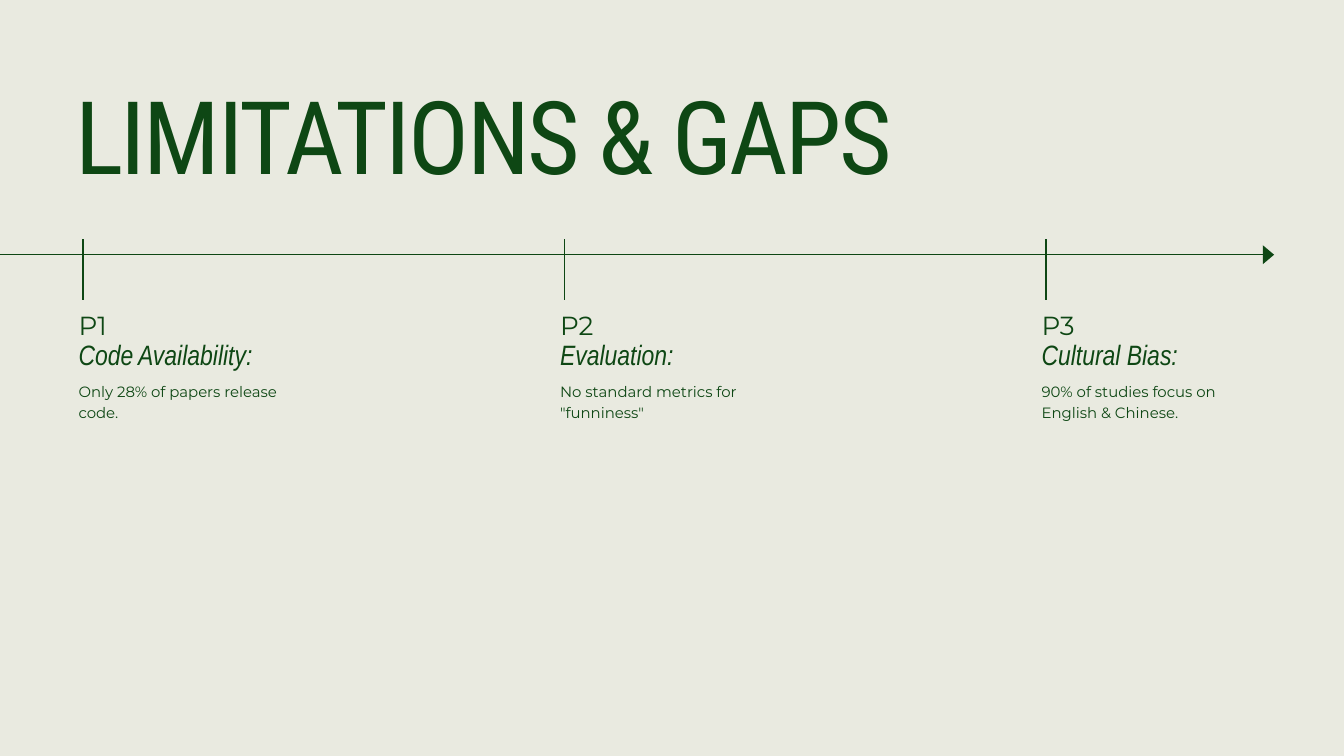
from lxml import etree
from pptx import Presentation
from pptx.dml import color
from pptx.enum import shapes, text
from pptx.oxml import ns
from pptx.util import Cm, Pt

GREEN = "0E4714"
PAPER = "E9EAE0"
PAGE_WIDTH, PAGE_HEIGHT = 50.8, 28.58
LEFT, PITCH = 2.97, 18.2
GAPS = [
    ("P1", "Code Availability:", "Only 28% of papers release code."),
    ("P2", "Evaluation:", 'No standard metrics for "funniness"'),
    ("P3", "Cultural Bias:", "90% of studies focus on English & Chinese."),
]


def rgb(value):
    return color.RGBColor.from_string(value)


def write(box, words, font, size, leading, italic=False):
    """Put one paragraph, flush with the edges, into a text shape."""
    frame = box.text_frame
    frame.word_wrap = True
    frame.auto_size = text.MSO_AUTO_SIZE.NONE
    frame.vertical_anchor = text.MSO_ANCHOR.TOP
    frame.margin_left = frame.margin_top = 0
    frame.margin_right = frame.margin_bottom = 0
    para = frame.paragraphs[0]
    span = para.add_run()
    span.text = words
    para.alignment = text.PP_ALIGN.LEFT
    para.line_spacing = Pt(leading)
    para.space_before = Pt(0)
    para.font.name = font
    para.font.size = Pt(size)
    para.font.italic = italic
    para.font.color.rgb = rgb(GREEN)
    return span


def add_line(page, x1, y1, x2, y2):
    line = page.shapes.add_connector(
        shapes.MSO_CONNECTOR.STRAIGHT, Cm(x1), Cm(y1), Cm(x2), Cm(y2))
    line.line.color.rgb = rgb(GREEN)
    line.line.width = Pt(1.5)
    etree.SubElement(line._element.spPr, ns.qn("a:effectLst"))


def add_title(page, left, top, width, height):
    title = page.shapes.title
    title.left, title.top = Cm(left), Cm(top)
    title.width, title.height = Cm(width), Cm(height)
    span = write(title, "LIMITATIONS & GAPS", "Roboto Condensed", 108.8, 94.7)
    span._r.get_or_add_rPr().set("spc", "-270")


def add_axis(page, y, tip, length=0.43, half_height=0.36):
    """Draw the time axis from the page edge to an arrowhead at tip."""
    base = tip - length
    add_line(page, 0, y, base, y)
    outline = page.shapes.build_freeform(Cm(tip), Cm(y))
    outline.add_line_segments([
        (Cm(base), Cm(y + half_height)),
        (Cm(base), Cm(y - half_height)),
    ])
    head = outline.convert_to_shape()
    head.shadow.inherit = False
    head.fill.solid()
    head.fill.fore_color.rgb = rgb(GREEN)
    head.line.fill.background()


def add_gap(page, left, top, label, heading, detail):
    """Place a tick and the three texts below it."""
    tick = left + 0.17
    add_line(page, tick, top, tick, top + 2.31)
    rows = [
        (label, 2.67, 7.75, 1.19, "Montserrat", 28, 33.6, False),
        (heading, 3.71, 7.75, 1.45, "Arial Narrow", 30, 36, True),
        (detail, 5.31, 8.59, 1.52, "Montserrat", 16, 22.4, False),
    ]
    for words, offset, width, height, *style in rows:
        box = page.shapes.add_textbox(
            Cm(left), Cm(top + offset), Cm(width), Cm(height))
        write(box, words, *style)


def main():
    deck = Presentation()
    deck.slide_width, deck.slide_height = Cm(PAGE_WIDTH), Cm(PAGE_HEIGHT)
    page = deck.slides.add_slide(deck.slide_layouts.get_by_name("Title Only"))
    page.background.fill.solid()
    page.background.fill.fore_color.rgb = rgb(PAPER)

    add_title(page, 2.84, 4.04, 45.09, 4.24)
    add_axis(page, 9.63, 48.16)
    for index, gap in enumerate(GAPS):
        add_gap(page, LEFT + index * PITCH, 9.04, *gap)
    deck.save("out.pptx")


if __name__ == "__main__":
    main()
